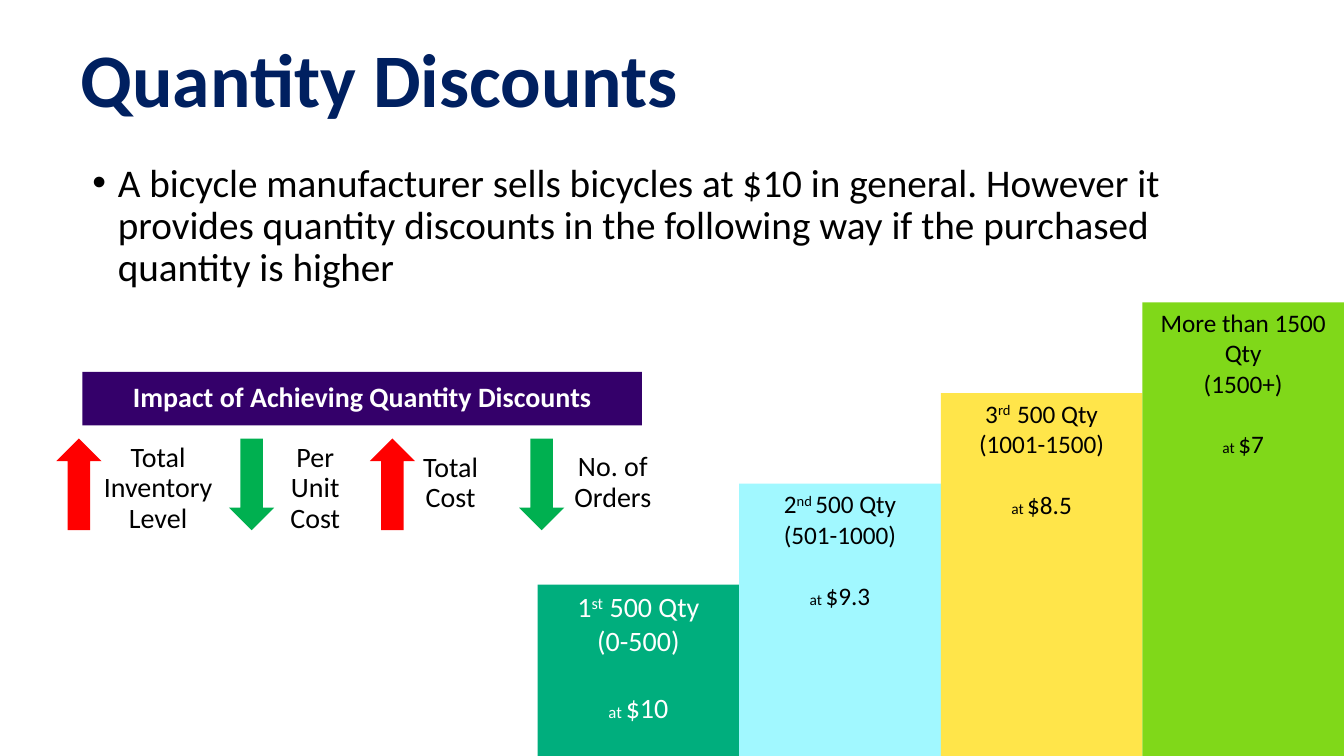
from dataclasses import dataclass

import lxml.etree
import pptx
import pptx.dml.color
import pptx.enum.shapes
import pptx.enum.text
import pptx.oxml.ns
import pptx.util

Cm = pptx.util.Cm
Pt = pptx.util.Pt
SHAPES = pptx.enum.shapes.MSO_SHAPE
ALIGN = pptx.enum.text.PP_ALIGN
ANCHOR = pptx.enum.text.MSO_ANCHOR

COLOURS = {
    "title": "002060",
    "text": "000000",
    "light": "FFFFFF",
    "banner": "34006A",
    "rise": "FF0000",
    "fall": "00B050",
    "green": "00AE7D",
    "cyan": "A1F8FF",
    "yellow": "FFE54A",
    "lime": "80D819",
}
FONT = "Calibri"
PAGE_WIDTH, PAGE_HEIGHT = 33.87, 19.05
STEP_WIDTH = 5.08
ARROW_TOP, ARROW_WIDTH, ARROW_HEIGHT = 11.05, 1.14, 2.31
SUPERSCRIPT = "30000"


@dataclass(frozen=True)
class Area:
    """A rectangle in centimetres."""
    left: float
    top: float
    width: float
    height: float


@dataclass(frozen=True)
class Step:
    number: str
    ordinal: str
    quantity: str
    limits: str
    price: str
    height: float
    fill: str
    colour: str = "text"
    size: int = 18
    small_size: int = 11


@dataclass(frozen=True)
class Impact:
    label: str
    rises: bool
    arrow_left: float
    label_area: Area


STEPS = (
    Step("1", "st", " 500 Qty", "(0-500)", "$10", 4.32, "green", "light", 20, 12),
    Step("2", "nd ", "500 Qty", "(501-1000)", "$9.3", 6.86, "cyan"),
    Step("3", "rd  ", "500 Qty", "(1001-1500)", "$8.5", 9.14, "yellow"),
    Step("More than 1500 Qty", "", "", "(1500+)", "$7", 11.43, "lime"),
)
IMPACTS = (
    Impact("Total Inventory Level", True, 1.42, Area(2.18, 11.05, 3.61, 2.72)),
    Impact("Per Unit Cost", False, 5.77, Area(6.65, 11.05, 2.59, 2.72)),
    Impact("Total Cost", True, 9.32, Area(10.06, 11.3, 2.59, 2.11)),
    Impact("No. of Orders", False, 13.08, Area(14.15, 11.28, 2.59, 1.9)),
)


def style(span, size: int, colour: str, bold: bool = False) -> None:
    font = span.font
    font.name = FONT
    font.size = Pt(size)
    font.bold = bold
    font.color.rgb = pptx.dml.color.RGBColor.from_string(COLOURS[colour])


def place(area: Area) -> tuple:
    return Cm(area.left), Cm(area.top), Cm(area.width), Cm(area.height)


def add_block(page, kind, area: Area, fill: str):
    """Add a filled shape with neither outline nor shadow."""
    block = page.shapes.add_shape(kind, *place(area))
    block.shadow.inherit = False
    block.fill.solid()
    block.fill.fore_color.rgb = pptx.dml.color.RGBColor.from_string(COLOURS[fill])
    block.line.fill.background()
    return block


def write(box, text: str, size: int, colour: str = "text", bold: bool = False,
          align=ALIGN.CENTER, anchor=ANCHOR.TOP, spacing: float = 0.9):
    """Fill a box with one paragraph and return the paragraph."""
    frame = box.text_frame
    frame.word_wrap = True
    frame.vertical_anchor = anchor
    para = frame.paragraphs[0]
    para.text = text
    para.alignment = align
    para.line_spacing = spacing
    style(para.runs[0], size, colour, bold)
    return para


def add_bullet(para) -> None:
    properties = para._p.get_or_add_pPr()
    properties.set("marL", str(Cm(0.64)))
    properties.set("indent", str(Cm(-0.64)))
    name = pptx.oxml.ns.qn
    lxml.etree.SubElement(properties, name("a:buFont"), typeface="Arial")
    lxml.etree.SubElement(properties, name("a:buChar"), char="•")


def add_span(para, text: str, size: int, colour: str):
    span = para.add_run()
    span.text = text
    style(span, size, colour)
    return span


def draw_step(page, step: Step, left: float) -> None:
    area = Area(left, PAGE_HEIGHT - step.height, STEP_WIDTH, step.height)
    block = add_block(page, SHAPES.RECTANGLE, area, step.fill)
    heading = write(block, step.number, step.size, step.colour, spacing=1.0)
    if step.ordinal:
        ordinal = add_span(heading, step.ordinal, step.size, step.colour)
        ordinal._r.get_or_add_rPr().set("baseline", SUPERSCRIPT)
        add_span(heading, step.quantity, step.size, step.colour)

    limits = block.text_frame.add_paragraph()
    limits.alignment = ALIGN.CENTER
    add_span(limits, step.limits, step.size, step.colour)

    price = block.text_frame.add_paragraph()
    price.alignment = ALIGN.CENTER
    price.space_before = Pt(step.size * 1.22)
    add_span(price, "at ", step.small_size, step.colour)
    add_span(price, step.price, step.size, step.colour)


def draw_impact(page, impact: Impact) -> None:
    area = Area(impact.arrow_left, ARROW_TOP, ARROW_WIDTH, ARROW_HEIGHT)
    arrow = add_block(page, SHAPES.UP_ARROW, area, "rise" if impact.rises else "fall")
    arrow.rotation = 0 if impact.rises else 180
    write(page.shapes.add_textbox(*place(impact.label_area)), impact.label, 20)


def main() -> None:
    deck = pptx.Presentation()
    deck.slide_width, deck.slide_height = Cm(PAGE_WIDTH), Cm(PAGE_HEIGHT)
    page = deck.slides.add_slide(deck.slide_layouts[6])

    first_left = PAGE_WIDTH - len(STEPS) * STEP_WIDTH
    for index, step in enumerate(STEPS):
        draw_step(page, step, first_left + index * STEP_WIDTH)

    title = page.shapes.add_textbox(*place(Area(1.78, 0, 27.31, 3.89)))
    write(title, "Quantity Discounts", 54, "title", True, ALIGN.LEFT,
          ANCHOR.MIDDLE, 1.0)

    intro = page.shapes.add_textbox(*place(Area(2.08, 3.99, 30.68, 3.99)))
    add_bullet(write(
        intro,
        "A bicycle manufacturer sells bicycles at $10 in general. However it "
        "provides quantity discounts in the following way if the purchased "
        "quantity is higher",
        28, align=ALIGN.LEFT))

    banner = add_block(page, SHAPES.RECTANGLE, Area(2.08, 9.37, 14.1, 1.35), "banner")
    write(banner, "Impact of Achieving Quantity Discounts", 20, "light", True,
          anchor=ANCHOR.MIDDLE)
    for impact in IMPACTS:
        draw_impact(page, impact)

    deck.save("out.pptx")


if __name__ == "__main__":
    main()
